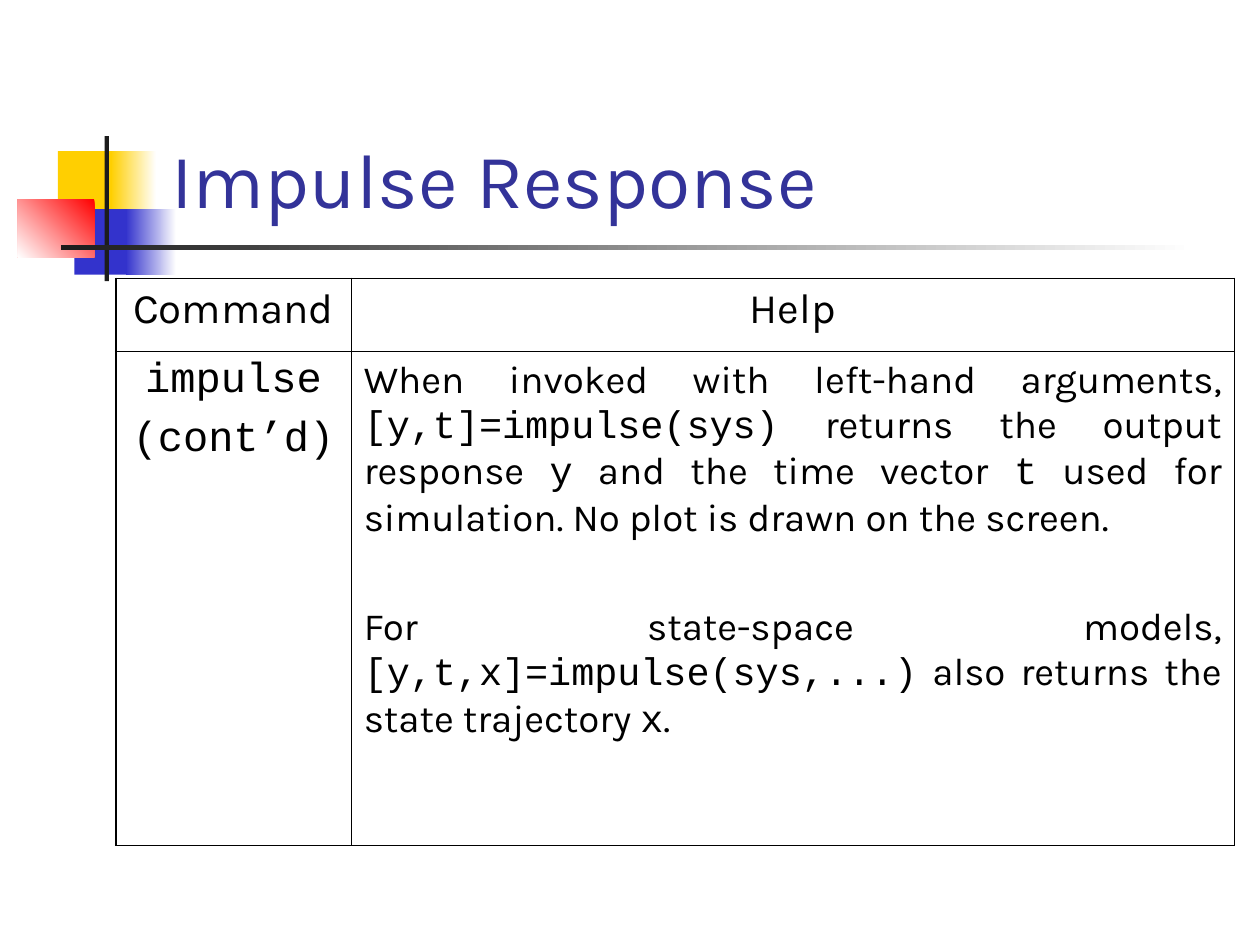
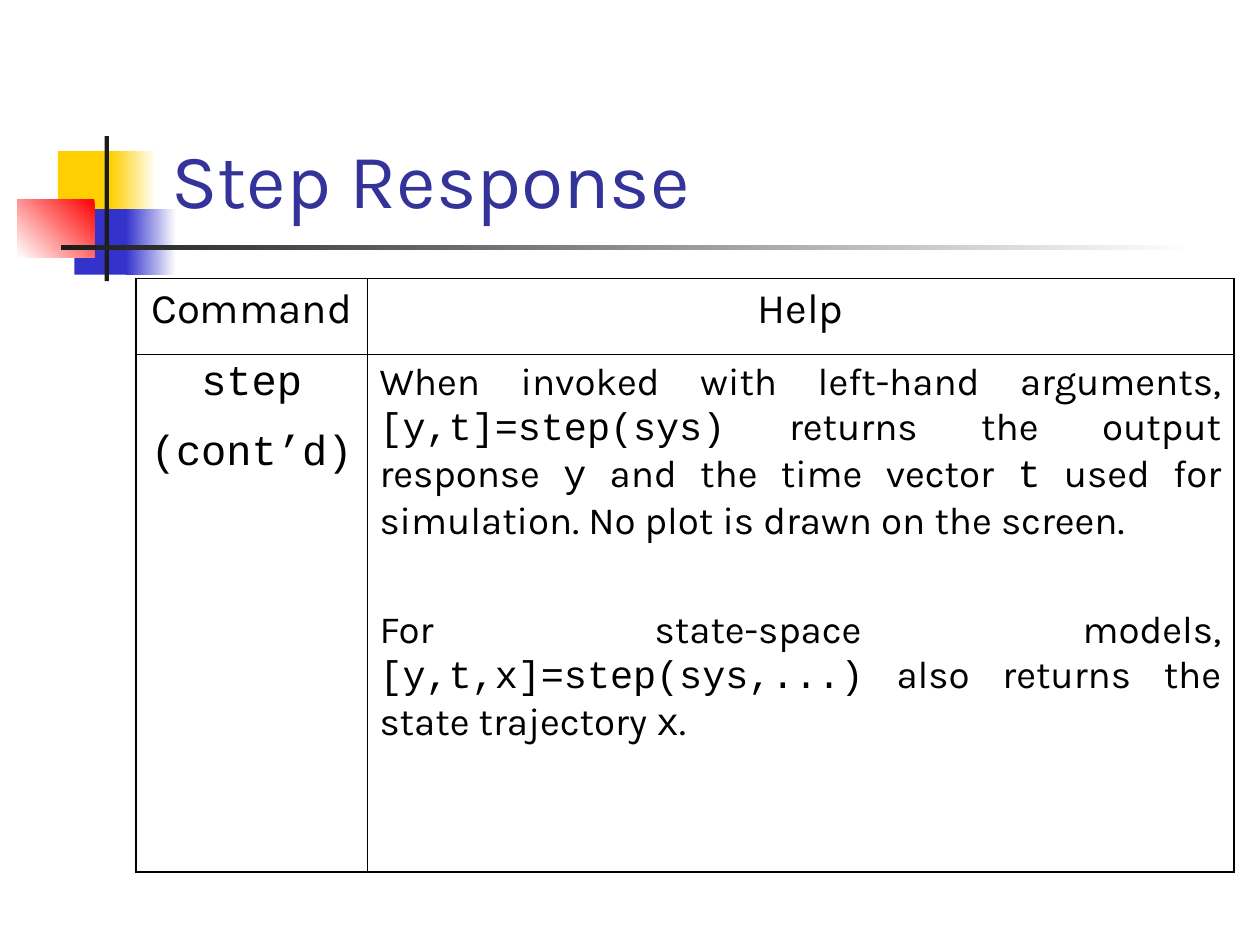
"""Build two slides on the impulse and step response commands."""
import pptx
import pptx.dml.color
import pptx.enum.shapes
import pptx.enum.text
import pptx.util
from lxml import etree
from pptx.oxml.ns import qn

Pt = pptx.util.Pt
ALIGN = pptx.enum.text.PP_ALIGN

COLORS = {
    "title": "333399", "text": "000000", "white": "FFFFFF", "yellow": "FFCF01",
    "blue": "3333CC", "red": "FF0000", "dark": "1C1C1C",
}
FONT, CODE_FONT = "Karla", "Courier New"

HEADINGS = ["Command", "Help"]
HELP = [
    "When invoked with left-hand arguments, `[y,t]={name}(sys)` returns the output "
    "response `y` and the time vector `t` used for simulation. "
    "No plot is drawn on the screen.",
    "For state-space models, `[y,t,x]={name}(sys,...)` also returns the "
    "state trajectory `x`.",
]
HELP_GAPS = [5.5, 36.7]
SLIDES = [
    {"title": "Impulse Response", "name": "impulse", "left": 66.1,
     "cols": [134.6, 504.7], "rows": [41.8, 282.2], "contd_gap": 6},
    {"title": "Step Response", "name": "step", "left": 77.9,
     "cols": [131.8, 495.4], "rows": [43.2, 295.9], "contd_gap": 12.9},
]
TABLE_TOP = 159.1
TITLE_BOX = (90.7, 16.6, 613.4, 115.2)
OUTER, INNER = 1.08, 0.45

# Each block: box, fill colours from first to last stop, gradient angle
BLOCKS = [
    ((33.1, 86.4, 34.6, 37.4), ["yellow"], 0),
    ((63.4, 86.4, 25.9, 37.4), ["white", "yellow"], 180),
    ((42.5, 119.5, 33.1, 37.4), ["blue"], 0),
    ((72, 119.5, 28.8, 37.4), ["white", "blue"], 180),
    ((10.1, 113.8, 43.9, 33.1), ["red", "white"], 225),
    ((59.8, 77.8, 2.5, 82.8), ["dark"], 0),
    ((34.6, 140.2, 648, 2.5), ["white", "dark"], 180),
]


def rgb(name):
    """Return the named colour."""
    return pptx.dml.color.RGBColor.from_string(COLORS[name])


def write(tf, text, size=24, color="text", align=ALIGN.CENTER, before=6, first=True):
    """Write a paragraph, setting the parts between backticks in the code font."""
    p = tf.paragraphs[0] if first else tf.add_paragraph()
    p.alignment = align
    p.space_before = Pt(before)
    for i, part in enumerate(text.split("`")):
        if part:
            r = p.add_run()
            r.text = part
            r.font.name = CODE_FONT if i % 2 else FONT
            r.font.size = Pt(size)
            r.font.color.rgb = rgb(color)


def add_block(s, box, colors, angle):
    """Add one plain or gradient rectangle of the title decoration."""
    sp = s.shapes.add_shape(pptx.enum.shapes.MSO_SHAPE.RECTANGLE, *map(Pt, box))
    sp.shadow.inherit = False
    sp.line.fill.background()
    if len(colors) == 1:
        sp.fill.solid()
        sp.fill.fore_color.rgb = rgb(colors[0])
    else:
        sp.fill.gradient()
        sp.fill.gradient_angle = angle
        for stop, color in zip(sp.fill.gradient_stops, colors):
            stop.color.rgb = rgb(color)


def set_borders(cell, widths):
    """Draw the left, right, top and bottom borders of a cell."""
    tc_pr = cell._tc.get_or_add_tcPr()
    for i, (side, width) in enumerate(zip("LRTB", widths)):
        ln = etree.Element(qn(f"a:ln{side}"), w=str(int(Pt(width))))
        fill = etree.SubElement(ln, qn("a:solidFill"))
        etree.SubElement(fill, qn("a:srgbClr"), val=COLORS["text"])
        tc_pr.insert(i, ln)


def add_command_table(s, spec):
    """Add the two by two table of a command and its help."""
    cols, rows = spec["cols"], spec["rows"]
    table = s.shapes.add_table(
        len(rows), len(cols), Pt(spec["left"]), Pt(TABLE_TOP),
        Pt(sum(cols)), Pt(sum(rows))).table
    table.first_row = table.horz_banding = False
    for col, width in zip(table.columns, cols):
        col.width = Pt(width)
    for row, height in zip(table.rows, rows):
        row.height = Pt(height)
    for i in range(len(rows)):
        for j in range(len(cols)):
            cell = table.cell(i, j)
            cell.fill.background()
            edges = (j == 0, j == len(cols) - 1, i == 0, i == len(rows) - 1)
            set_borders(cell, [OUTER if edge else INNER for edge in edges])
    for j, heading in enumerate(HEADINGS):
        write(table.cell(0, j).text_frame, heading)
    tf = table.cell(1, 0).text_frame
    write(tf, f"`{spec['name']}`")
    write(tf, "`(cont’d)`", before=spec["contd_gap"], first=False)
    tf = table.cell(1, 1).text_frame
    for i, (text, gap) in enumerate(zip(HELP, HELP_GAPS)):
        write(tf, text.format(name=spec["name"]), size=22, align=ALIGN.JUSTIFY,
              before=gap, first=i == 0)


def add_slide(prs, spec):
    """Add a slide with its decoration, title and table."""
    s = prs.slides.add_slide(prs.slide_layouts[5])
    for block in BLOCKS:
        add_block(s, *block)
    title = s.shapes.title
    title.left, title.top, title.width, title.height = map(Pt, TITLE_BOX)
    tf = title.text_frame
    tf.vertical_anchor = pptx.enum.text.MSO_ANCHOR.BOTTOM
    write(tf, spec["title"], size=44, color="title", align=ALIGN.LEFT, before=0)
    add_command_table(s, spec)


def main():
    """Build and save the presentation."""
    prs = pptx.Presentation()
    prs.slide_width, prs.slide_height = Pt(720), Pt(540)
    for spec in SLIDES:
        add_slide(prs, spec)
    prs.save("out.pptx")


if __name__ == "__main__":
    main()
